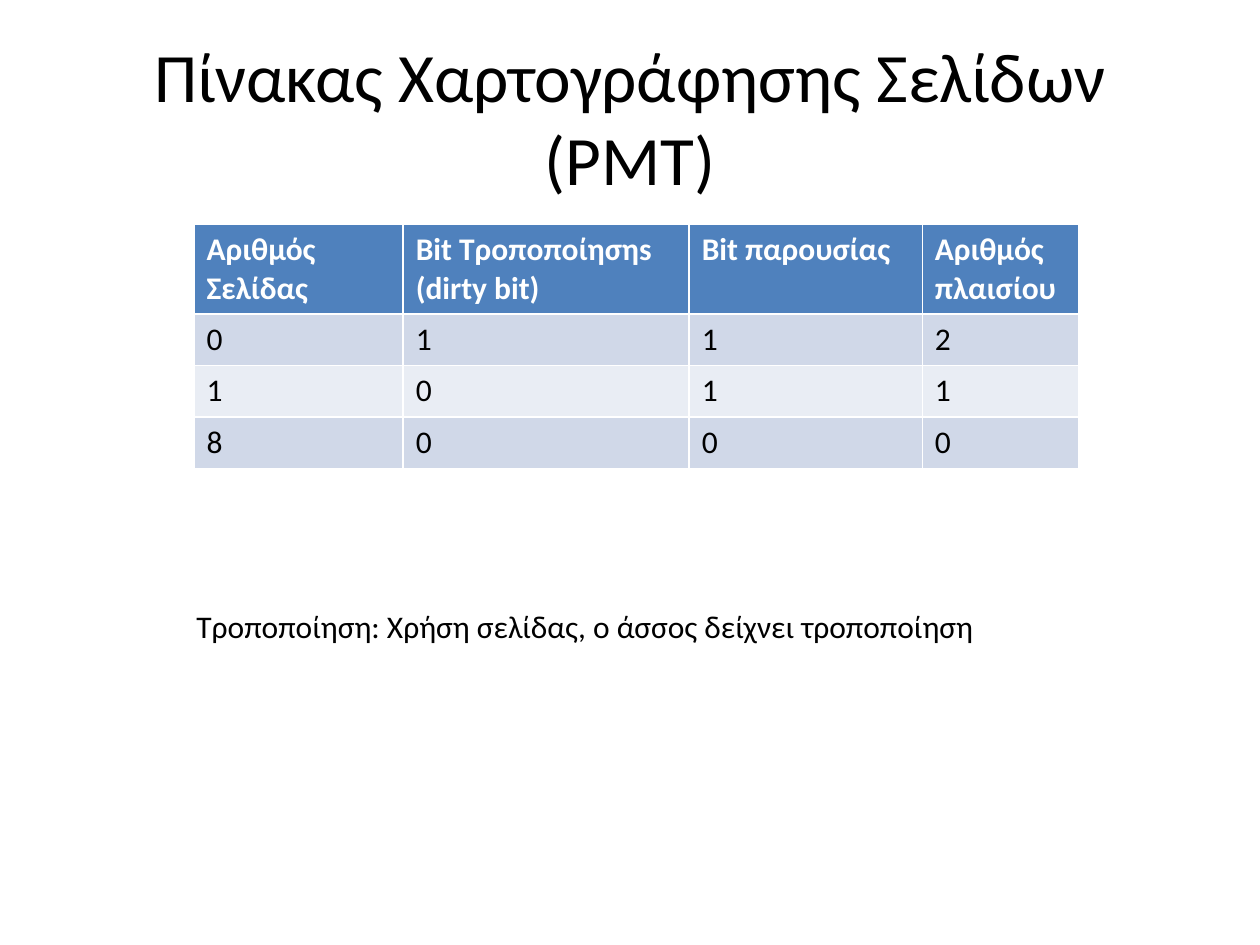
from pptx import Presentation
from pptx.dml.color import RGBColor
from pptx.enum.text import MSO_ANCHOR, MSO_AUTO_SIZE, PP_ALIGN
from pptx.util import Inches, Pt

WIDTH, HEIGHT = 10, 7.5
FONT = "Calibri"
COLORS = {
    "text": "000000",
    "header_text": "FFFFFF",
    "header": "4F81BD",
    "odd_row": "D0D8E8",
    "even_row": "E9EDF4",
}
COLUMNS = [1.66, 2.27, 1.85, 1.24]
ROW_HEIGHTS = [0.7, 0.41, 0.41, 0.41]
ROWS = [
    ["Αριθμός Σελίδας", "Bit Τροποποίησηs\n(dirty bit)", "Bit παρουσίας", "Αριθμός πλαισίου"],
    ["0", "1", "1", "2"],
    ["1", "0", "1", "1"],
    ["8", "0", "0", "0"],
]


def box(left, top, width, height):
    return (Inches(left * WIDTH), Inches(top * HEIGHT),
            Inches(width * WIDTH), Inches(height * HEIGHT))


def write(tf, text, size=18, color="text", bold=False, align=PP_ALIGN.LEFT):
    for i, line in enumerate(text.split("\n")):
        p = tf.add_paragraph() if i else tf.paragraphs[0]
        p.alignment = align
        r = p.add_run()
        r.text = line
        r.font.name = FONT
        r.font.size = Pt(size)
        r.font.bold = bold
        r.font.color.rgb = RGBColor.from_string(COLORS[color])


def add_title(s, text):
    sp = s.shapes.title
    sp.left, sp.top, sp.width, sp.height = box(0.05, 0.04, 0.9, 0.167)
    tf = sp.text_frame
    tf.auto_size = MSO_AUTO_SIZE.NONE
    tf.vertical_anchor = MSO_ANCHOR.MIDDLE
    write(tf, text, size=39.6, align=PP_ALIGN.CENTER)


def add_page_table(s):
    frame = s.shapes.add_table(len(ROWS), len(COLUMNS), Inches(1.54), Inches(1.78),
                               Inches(sum(COLUMNS)), Inches(sum(ROW_HEIGHTS)))
    table = frame.table
    for column, width in zip(table.columns, COLUMNS):
        column.width = Inches(width)
    for i, (row, height, values) in enumerate(zip(table.rows, ROW_HEIGHTS, ROWS)):
        row.height = Inches(height)
        header = i == 0
        fill = "header" if header else "odd_row" if i % 2 else "even_row"
        for cell, value in zip(row.cells, values):
            cell.fill.solid()
            cell.fill.fore_color.rgb = RGBColor.from_string(COLORS[fill])
            write(cell.text_frame, value, color="header_text" if header else "text", bold=header)


def add_note(s, text):
    tf = s.shapes.add_textbox(*box(0.146, 0.636, 0.669, 0.053)).text_frame
    tf.word_wrap = True
    write(tf, text)


def main():
    prs = Presentation()
    prs.slide_width, prs.slide_height = Inches(WIDTH), Inches(HEIGHT)
    s = prs.slides.add_slide(prs.slide_layouts[5])
    add_title(s, "Πίνακας Χαρτογράφησης Σελίδων (PMT)")
    add_page_table(s)
    add_note(s, "Τροποποίηση: Χρήση σελίδας, ο άσσος δείχνει τροποποίηση")
    prs.save("out.pptx")


if __name__ == "__main__":
    main()
